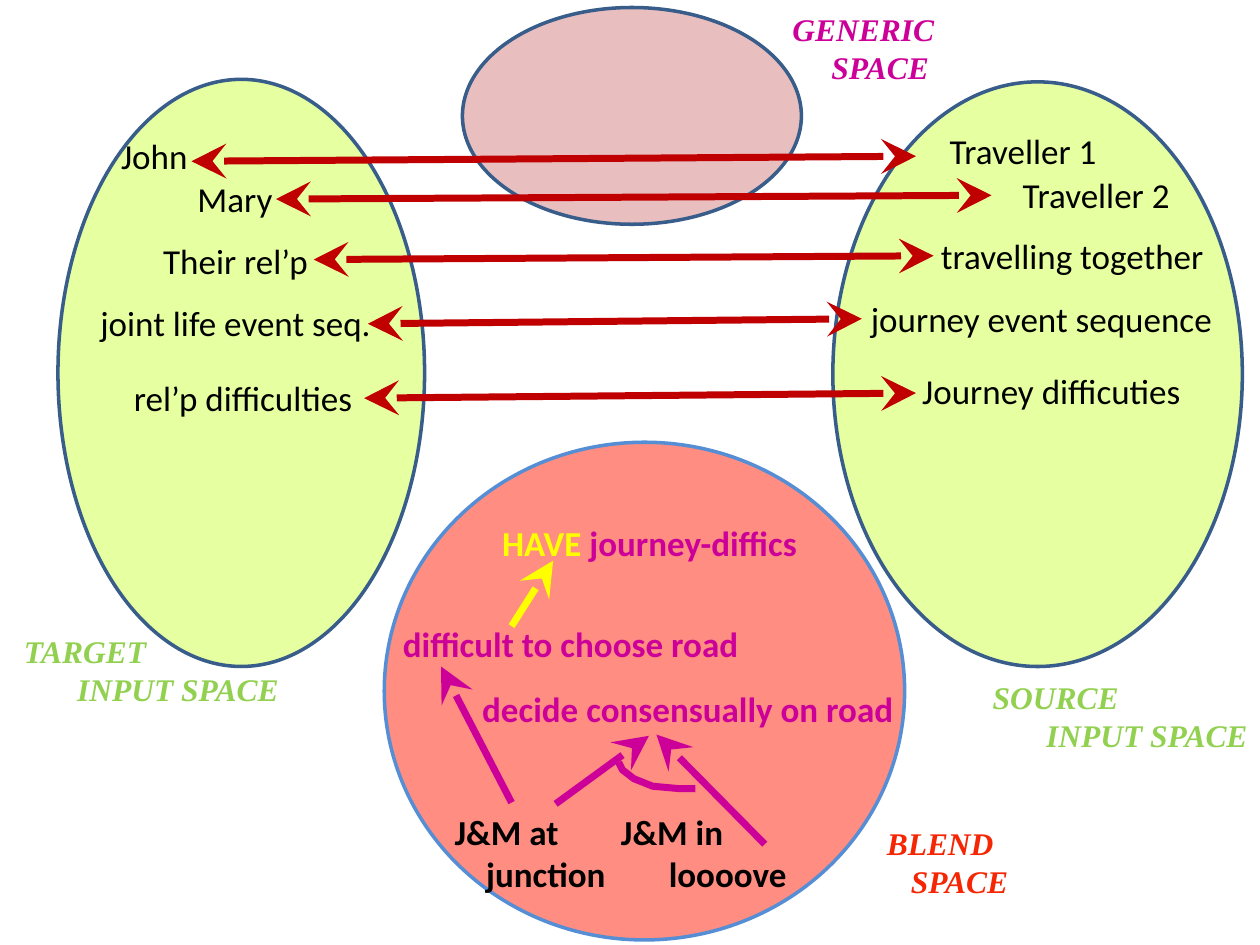
"""Draw a conceptual blending diagram with four spaces and their mappings."""
from dataclasses import dataclass
from lxml.etree import SubElement as Sub
from pptx import Presentation
from pptx.dml.color import RGBColor
from pptx.enum.shapes import MSO_CONNECTOR as Link, MSO_SHAPE as Kind
from pptx.enum.text import PP_ALIGN as Align
from pptx.oxml.ns import qn
from pptx.util import Inches, Pt


@dataclass(frozen=True)
class Theme:
    black: str = "000000"
    lime: str = "DDFF7D"
    coral: str = "FF8D81"
    rose: str = "E6B9B8"
    navy: str = "385D8A"
    blue: str = "558ED5"
    dark: str = "C00000"
    pink: str = "CC0099"
    yellow: str = "FFFF00"
    green: str = "92D050"
    red: str = "F52603"
    body: str = "Calibri"
    head: str = "Times New Roman"
    text: int = 20
    label: int = 18
    edge: int = 2
    stroke: int = 4


T = Theme()
LEFT, MID, RIGHT = Align.LEFT, Align.CENTER, Align.RIGHT
COLS, ROWS = 100, 75

SPACES = [
    ((4.6, 6.3, 29.1, 46.6), T.lime, 73, T.navy),
    ((30.5, 35.1, 41.3, 39.5), T.coral, 100, T.blue),
    ((66.1, 6.5, 32.5, 46.4), T.lime, 73, T.navy),
    ((36.7, 0.6, 26.9, 17.2), T.rose, 90, T.navy),
]
PAIRS = [
    ("John", (8.6, 10.2, 7.3), "Traveller 1", (69.8, 9.8, 22.8), (15.2, 12.8, 72.7, 12.4)),
    ("Mary", (14, 13.6, 9.3), "Traveller 2", (76.9, 13.3, 20.2), (21.9, 15.8, 78.7, 15.5)),
    ("Their rel’p", (6.9, 18.5, 23.6), "travelling together", (73.1, 18.1, 24), (24.9, 20.6, 74.1, 20.3)),
    ("joint life event seq.", (6, 23.4, 25.4), "journey event sequence", (67.9, 23.1, 29.5), (29.2, 25.7, 68.4, 25.3)),
    ("rel’p difficulties", (6.6, 29.4, 25.4), "Journey difficuties", (69.8, 28.8, 27.3), (28.9, 31.6, 72.7, 31.2)),
]
LABELS = [
    ("GENERIC", "SPACE", (61.9, 0.3, 38.1), T.pink, LEFT, 3.1),
    ("TARGET", "INPUT SPACE", (0.9, 49.7, 22.2), T.green, RIGHT, 0),
    ("SOURCE", "INPUT SPACE", (77.8, 53.3, 22.2), T.green, RIGHT, 0),
    ("BLEND", "SPACE", (69.4, 64.9, 13), T.red, LEFT, 1.9),
]
FACTS = [
    ("J&M at", "junction", (35.1, 63.8, 19.4), 2.5),
    ("J&M in", "loooove", (48.3, 63.8, 19.4), 3.8),
]
BLEND = [
    ([("HAVE ", T.yellow), ("journey-diffics", T.pink)], (34.2, 40.9, 34.7), MID),
    ([("difficult to choose road", T.pink)], (31, 48.9, 34.6), LEFT),
    ([("decide consensually on road", T.pink)], (37.2, 54.1, 34.7), RIGHT),
]
STEPS = [
    ((40.6, 63.7, 35, 52.9), T.pink),
    ((44.1, 63.8, 51.5, 58.4), T.pink),
    ((60.7, 67, 52.1, 58.3), T.pink),
    ((40.6, 49.7, 43.9, 44.5), T.yellow),
]
ARC = [(49.1, 60.5), (49.4, 61.1), (50.3, 61.8), (51.8, 62.4), (54, 62.6), (55.2, 62.6)]

deck = Presentation()
deck.slide_width, deck.slide_height = Inches(10), Inches(7.5)
slide = deck.slides.add_slide(deck.slide_layouts[6])
shapes = slide.shapes


def grid(*nums):
    sizes = deck.slide_width / COLS, deck.slide_height / ROWS
    return [round(n * sizes[i % 2]) for i, n in enumerate(nums)]


def rgb(tint):
    return RGBColor.from_string(tint)


def ink(line, tint, width):
    line.color.rgb = rgb(tint)
    line.width = Pt(width)


def oval(box, fill, alpha, edge):
    shape = shapes.add_shape(Kind.OVAL, *grid(*box))
    shape.shadow.inherit = False
    shape.fill.solid()
    shape.fill.fore_color.rgb = rgb(fill)
    if alpha < 100:
        tint = shape.fill._xPr.find(".//" + qn("a:srgbClr"))
        Sub(tint, qn("a:alpha"), val=str(alpha * 1000))
    ink(shape.line, edge, T.edge)


def write(box, lines, face=T.body, size=T.text, bold=False, slant=False):
    """Place lines, each given as its runs, alignment and indent."""
    frame = shapes.add_textbox(*grid(*box, 1 + 3.4 * len(lines))).text_frame
    frame.word_wrap = True
    for i, (runs, align, indent) in enumerate(lines):
        para = frame.add_paragraph() if i else frame.paragraphs[0]
        para.alignment = align
        if indent:
            para._p.get_or_add_pPr().set("marL", str(grid(indent)[0]))
        font = para.font
        font.name, font.size, font.bold, font.italic = face, Pt(size), bold, slant
        for text, tint in runs:
            run = para.add_run()
            run.text = text
            run.font.color.rgb = rgb(tint)


def arrow(ends, tint, tips):
    link = shapes.add_connector(Link.STRAIGHT, *grid(*ends))
    ink(link.line, tint, T.stroke)
    for tip in tips:
        Sub(link.line._ln, qn("a:" + tip), type="stealth", w="lg", len="lg")
    Sub(link._element.spPr, qn("a:effectLst"))


def curve(points, tint):
    start, *rest = [grid(*spot) for spot in points]
    pen = shapes.build_freeform(*start)
    pen.add_line_segments(rest, close=False)
    shape = pen.convert_to_shape()
    shape.shadow.inherit = False
    shape.fill.background()
    ink(shape.line, tint, T.stroke)


for space in SPACES:
    oval(*space)
for target, near, source, far, ends in PAIRS:
    for text, box in ((target, near), (source, far)):
        write(box, [([(text, T.black)], MID, 0)])
    arrow(ends, T.dark, ("headEnd", "tailEnd"))
for top, low, box, tint, align, indent in LABELS:
    write(box, [([(top, tint)], LEFT, 0), ([(low, tint)], align, indent)],
          T.head, T.label, True, True)
for top, low, box, indent in FACTS:
    write(box, [([(top, T.black)], LEFT, 0), ([(low, T.black)], LEFT, indent)], bold=True)
for runs, box, align in BLEND:
    write(box, [(runs, align, 0)], bold=True)
for ends, tint in STEPS:
    arrow(ends, tint, ("tailEnd",))
curve(ARC, T.pink)
deck.save("out.pptx")
